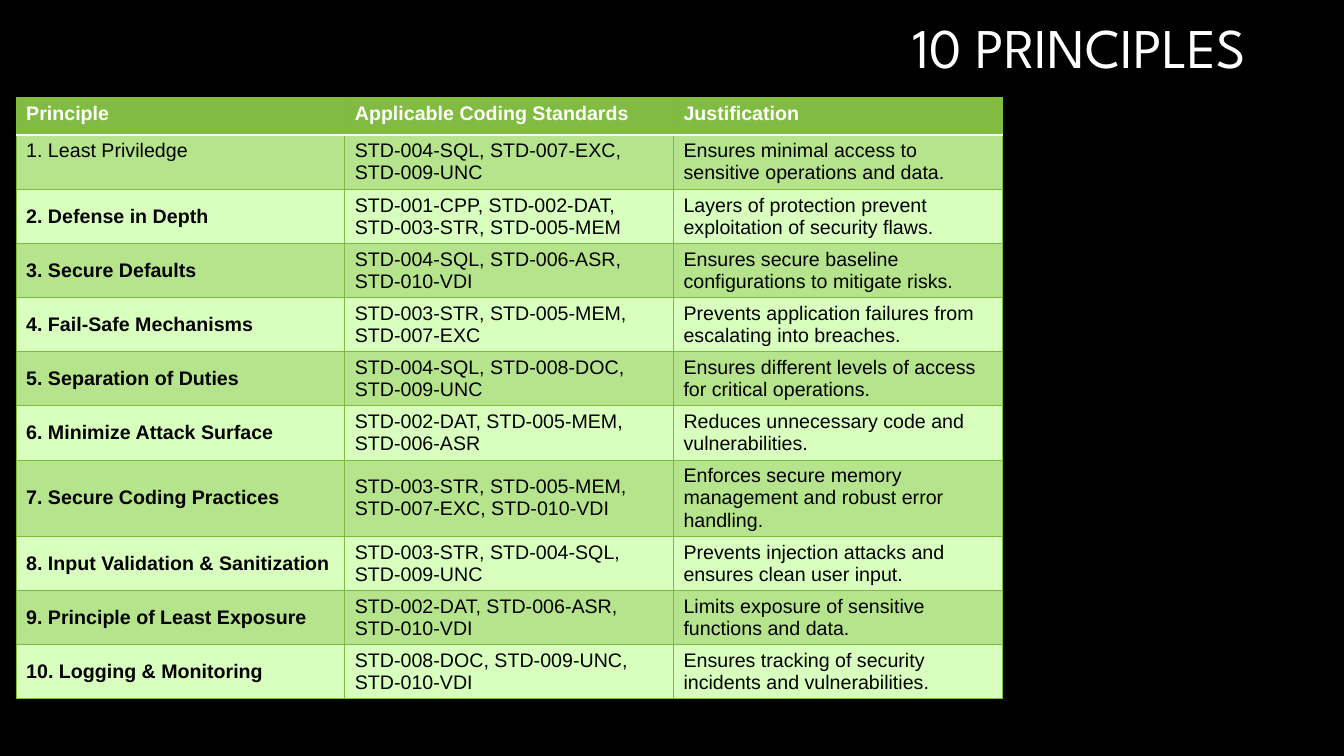
import pptx
import pptx.util
import pptx.dml.color
import pptx.enum.text
import pptx.oxml.ns
import lxml.etree

Inches = pptx.util.Inches
Pt = pptx.util.Pt
Anchor = pptx.enum.text.MSO_ANCHOR

COLORS = {
    "back": "000000",
    "white": "FFFFFF",
    "ink": "000000",
    "head": "81BB42",
    "dark": "B5E48C",
    "light": "D9FFBF",
    "line": "7EBA3E",
}

HEADS = ["Principle", "Applicable Coding Standards", "Justification"]
ROWS = [
    ("1. Least Priviledge", "STD-004-SQL, STD-007-EXC, STD-009-UNC",
     "Ensures minimal access to sensitive operations and data."),
    ("2. Defense in Depth", "STD-001-CPP, STD-002-DAT, STD-003-STR, STD-005-MEM",
     "Layers of protection prevent exploitation of security flaws."),
    ("3. Secure Defaults", "STD-004-SQL, STD-006-ASR, STD-010-VDI",
     "Ensures secure baseline configurations to mitigate risks."),
    ("4. Fail-Safe Mechanisms", "STD-003-STR, STD-005-MEM, STD-007-EXC",
     "Prevents application failures from escalating into breaches."),
    ("5. Separation of Duties", "STD-004-SQL, STD-008-DOC, STD-009-UNC",
     "Ensures different levels of access for critical operations."),
    ("6. Minimize Attack Surface", "STD-002-DAT, STD-005-MEM, STD-006-ASR",
     "Reduces unnecessary code and vulnerabilities."),
    ("7. Secure Coding Practices", "STD-003-STR, STD-005-MEM, STD-007-EXC, STD-010-VDI",
     "Enforces secure memory management and robust error handling."),
    ("8. Input Validation & Sanitization", "STD-003-STR, STD-004-SQL, STD-009-UNC",
     "Prevents injection attacks and ensures clean user input."),
    ("9. Principle of Least Exposure", "STD-002-DAT, STD-006-ASR, STD-010-VDI",
     "Limits exposure of sensitive functions and data."),
    ("10. Logging & Monitoring", "STD-008-DOC, STD-009-UNC, STD-010-VDI",
     "Ensures tracking of security incidents and vulnerabilities."),
]
HEIGHTS = [0.37] + [0.52] * 6 + [0.73] + [0.37] * 3


class Deck:
    """Holds the style and the current slide."""

    def __init__(self):
        self.show = pptx.Presentation()
        self.show.slide_width = Inches(13.33)
        self.show.slide_height = Inches(7.5)
        self.slide = self.show.slides.add_slide(self.show.slide_layouts[5])
        self.paint(self.slide.background.fill, "back")

    def paint(self, fill, color):
        fill.solid()
        fill.fore_color.rgb = pptx.dml.color.RGBColor.from_string(COLORS[color])

    def style(self, par, size, face, color, bold=False):
        for run in par.runs:
            run.font.size = Pt(size)
            run.font.name = face
            run.font.bold = bold
            self.paint(run.font.fill, color)

    def title(self, text, left, top, width, height):
        box = self.slide.shapes.title
        box.left, box.top = Inches(left), Inches(top)
        box.width, box.height = Inches(width), Inches(height)
        frame = box.text_frame
        frame.text = text
        frame.vertical_anchor = Anchor.MIDDLE
        par = frame.paragraphs[0]
        par.alignment = pptx.enum.text.PP_ALIGN.RIGHT
        par.line_spacing = 0.9
        self.style(par, 40, "League Spartan", "white")

    def border(self, cell, side, color, width):
        qn = pptx.oxml.ns.qn
        props = cell._tc.get_or_add_tcPr()
        line = lxml.etree.SubElement(props, qn("a:ln" + side), w=str(Pt(width)))
        fill = lxml.etree.SubElement(line, qn("a:solidFill"))
        lxml.etree.SubElement(fill, qn("a:srgbClr"), val=COLORS[color])

    def cell(self, cell, text, row, col):
        head = row == 0
        cell.text = text
        color = "white" if head else "ink"
        bold = head or (col == 0 and row > 1)
        self.style(cell.text_frame.paragraphs[0], 14, "Arial", color, bold)
        top = head or (row == 1 and col != 1)
        cell.vertical_anchor = Anchor.TOP if top else Anchor.MIDDLE
        for side in "LRTB":
            rule = (row, side) in ((0, "B"), (1, "T"))
            self.border(cell, side, *(("white", 2) if rule else ("line", 0.75)))
        self.paint(cell.fill, "head" if head else "dark" if row % 2 else "light")

    def table(self, rows, heights, left, top, width):
        count = len(rows[0])
        grid = self.slide.shapes.add_table(
            len(rows), count, Inches(left), Inches(top),
            Inches(width), Inches(sum(heights))).table
        grid.horz_banding = False
        for col in grid.columns:
            col.width = Inches(width / count)
        for row, (texts, height) in enumerate(zip(rows, heights)):
            grid.rows[row].height = Inches(height)
            for col, text in enumerate(texts):
                self.cell(grid.cell(row, col), text, row, col)


def main():
    deck = Deck()
    deck.title("10 PRINCIPLES", 3.04, -0.21, 9.42, 1.41)
    deck.table([HEADS] + ROWS, HEIGHTS, 0.16, 0.97, 9.78)
    deck.show.save("out.pptx")


if __name__ == "__main__":
    main()
